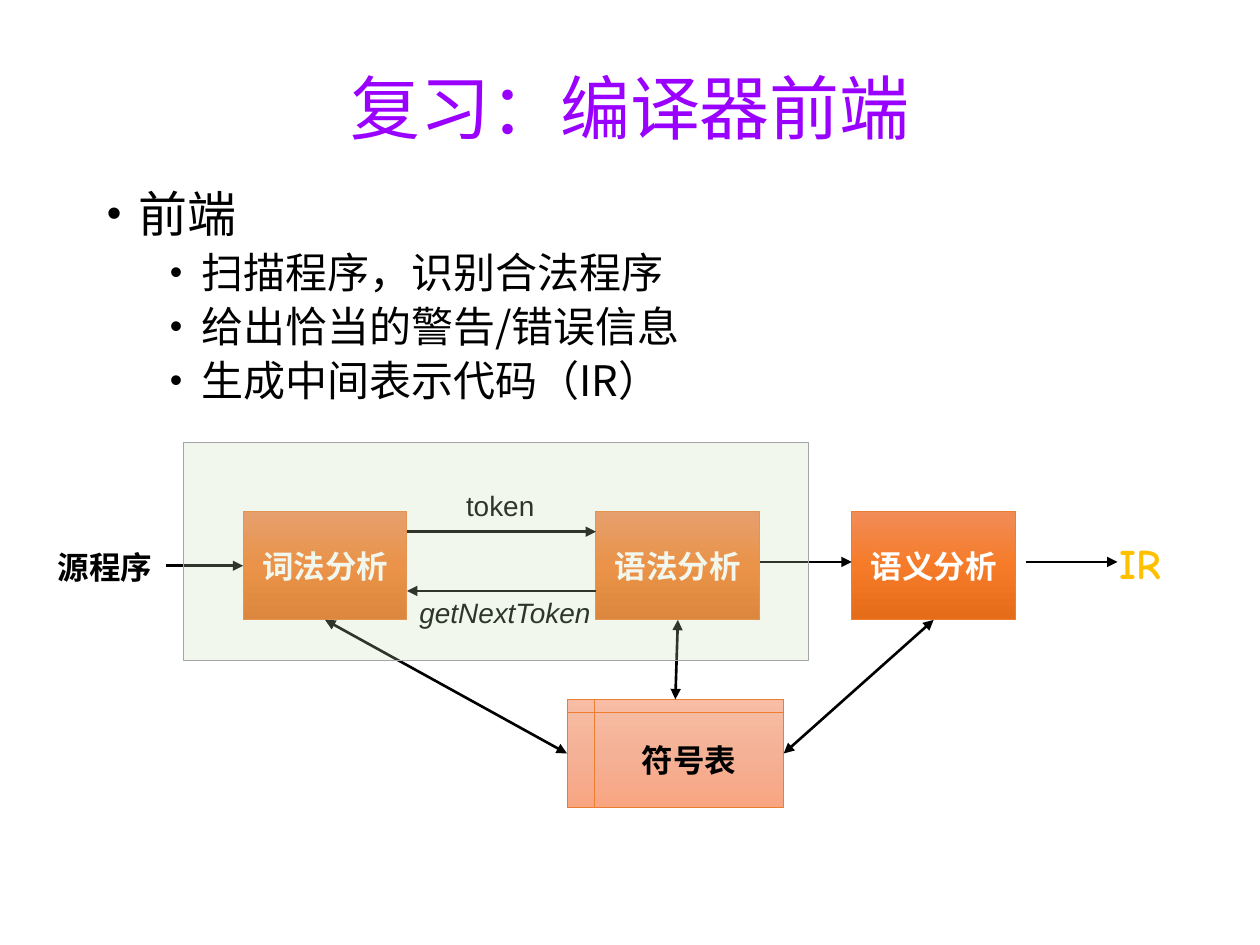
from lxml.etree import SubElement
from copy import deepcopy
from pptx import Presentation
from pptx.dml.color import RGBColor
from pptx.enum.shapes import MSO_CONNECTOR, MSO_SHAPE
from pptx.enum.text import MSO_ANCHOR, PP_ALIGN
from pptx.oxml.ns import qn
from pptx.util import Inches, Pt


def color(value):
    return RGBColor.from_string(value)


def write(paragraph, text, size, font, fill, bold=False, italic=False, align=PP_ALIGN.LEFT):
    paragraph.text = text
    paragraph.alignment = align
    paragraph.font.size = Pt(size)
    paragraph.font.bold = bold
    paragraph.font.italic = italic
    paragraph.font.color.rgb = color(fill)
    paragraph.font.name = font
    defaults = paragraph._p.pPr.find(qn("a:defRPr"))
    SubElement(defaults, qn("a:ea"), typeface="Noto Sans CJK SC")


presentation = Presentation()
presentation.slide_width = Inches(10)
presentation.slide_height = Inches(7.5)
slide = presentation.slides.add_slide(presentation.slide_layouts[6])
shapes = slide.shapes

title = shapes.add_textbox(Inches(0.69), Inches(0.4), Inches(8.62), Inches(0.97)).text_frame
title.word_wrap = True
title.vertical_anchor = MSO_ANCHOR.MIDDLE
write(title.paragraphs[0], "复习：编译器前端", 40, "Noto Sans CJK SC", "9900FF", align=PP_ALIGN.CENTER)
title.paragraphs[0].line_spacing = 0.9

body = shapes.add_textbox(Inches(0.75), Inches(1.46), Inches(8.5), Inches(2.53)).text_frame
body.word_wrap = True
points = [
    ("前端", 0),
    ("扫描程序，识别合法程序", 1),
    ("给出恰当的警告/错误信息", 1),
    ("生成中间表示代码（IR）", 1),
]
for index, (text, level) in enumerate(points):
    point = body.paragraphs[0] if index == 0 else body.add_paragraph()
    write(point, text, 28 - 4 * level, "Noto Sans CJK SC", "000000")
    point.level = level
    point.line_spacing = 0.9
    point.space_before = Pt(10 - 5 * level)
    properties = point._p.pPr
    properties.set("marL", str(Inches(0.25 + 0.5 * level)))
    properties.set("indent", str(Inches(-0.25)))
    defaults = properties.find(qn("a:defRPr"))
    for tag, attribute, value in [
        ("a:buSzPct", "val", "85000"),
        ("a:buFont", "typeface", "Arial"),
        ("a:buChar", "char", "•"),
    ]:
        bullet = SubElement(properties, qn(tag))
        bullet.set(attribute, value)
        defaults.addprevious(bullet)

labels = [
    ("源程序", 0.36, 4.3, 0.96, 0.4, 18, "Arial", "000000", True, False),
    ("token", 3.6, 3.83, 0.75, 0.37, 16, "Arial", "000000", False, False),
    ("getNextToken", 3.23, 4.68, 1.57, 0.37, 16, "Arial", "000000", False, True),
    ("IR", 8.79, 4.22, 0.6, 0.5, 24, "Comic Neue", "FFC000", True, False),
]
for text, left, top, width, height, size, font, fill, bold, italic in labels:
    label = shapes.add_textbox(Inches(left), Inches(top), Inches(width), Inches(height)).text_frame
    label.word_wrap = False
    write(label.paragraphs[0], text, size, font, fill, bold, italic)

phase_colors = ["F18C57", "F67B28", "E56C19"]
table_colors = ["F7BDA5", "F5B196", "F8A582"]
boxes = [
    ("词法分析", MSO_SHAPE.RECTANGLE, 1.93, 4.06, 1.3, phase_colors, "FFFFFF"),
    ("语法分析", MSO_SHAPE.RECTANGLE, 4.73, 4.06, 1.3, phase_colors, "FFFFFF"),
    ("语义分析", MSO_SHAPE.RECTANGLE, 6.76, 4.06, 1.3, phase_colors, "FFFFFF"),
    ("符号表", MSO_SHAPE.FLOWCHART_INTERNAL_STORAGE, 4.5, 5.55, 1.72, table_colors, "000000"),
]
nodes = []
for text, kind, left, top, width, gradient, text_color in boxes:
    node = shapes.add_shape(kind, Inches(left), Inches(top), Inches(width), Inches(0.86))
    node.shadow.inherit = False
    node.fill.gradient()
    node.fill.gradient_angle = 270
    first_stop = node._element.spPr.find(".//" + qn("a:gs"))
    first_stop.addnext(deepcopy(first_stop))
    for stop, position, value in zip(node.fill.gradient_stops, [0, 0.5, 1], gradient):
        stop.position = position
        stop.color.rgb = color(value)
    node.line.color.rgb = color("ED7D31")
    node.line.width = Pt(0.5)
    frame = node.text_frame
    frame.vertical_anchor = MSO_ANCHOR.MIDDLE
    if kind == MSO_SHAPE.FLOWCHART_INTERNAL_STORAGE:
        frame.margin_left = frame.margin_top = frame.margin_right = frame.margin_bottom = 0
    write(frame.paragraphs[0], text, 18, "Calibri", text_color, True, align=PP_ALIGN.CENTER)
    nodes.append(node)
lexer, parser, semantics, symbol_table = nodes

arrows = [
    (1.32, 4.49, 1.93, 4.49, ["tailEnd"], None, (lexer, 1)),
    (3.23, 4.22, 4.73, 4.22, ["tailEnd"], None, None),
    (3.23, 4.69, 4.73, 4.69, ["headEnd"], None, None),
    (6.03, 4.46, 6.76, 4.46, ["tailEnd"], None, None),
    (8.14, 4.46, 8.87, 4.46, ["tailEnd"], None, None),
    (2.58, 4.92, 4.5, 5.98, ["headEnd", "tailEnd"], (lexer, 2), (symbol_table, 1)),
    (5.38, 4.92, 5.36, 5.55, ["headEnd", "tailEnd"], (parser, 2), (symbol_table, 0)),
    (7.41, 4.92, 6.22, 5.98, ["headEnd", "tailEnd"], (semantics, 2), (symbol_table, 3)),
]
for x1, y1, x2, y2, heads, start, end in arrows:
    arrow = shapes.add_connector(MSO_CONNECTOR.STRAIGHT, Inches(x1), Inches(y1), Inches(x2), Inches(y2))
    if start:
        arrow.begin_connect(*start)
    if end:
        arrow.end_connect(*end)
    arrow.line.color.rgb = color("000000")
    arrow.line.width = Pt(1.5)
    for head in heads:
        SubElement(arrow.line._get_or_add_ln(), qn("a:" + head), type="triangle")
    SubElement(arrow._element.spPr, qn("a:effectLst"))

highlight = shapes.add_shape(MSO_SHAPE.RECTANGLE, Inches(1.46), Inches(3.51), Inches(4.96), Inches(1.73))
highlight.shadow.inherit = False
highlight.fill.solid()
highlight.fill.fore_color.rgb = color("C5E0B4")
tint = highlight._element.spPr.find(qn("a:solidFill")).find(qn("a:srgbClr"))
SubElement(tint, qn("a:alpha"), val="24000")
highlight.line.color.rgb = color("A5A5A5")
highlight.line.width = Pt(0.5)

presentation.save("out.pptx")
